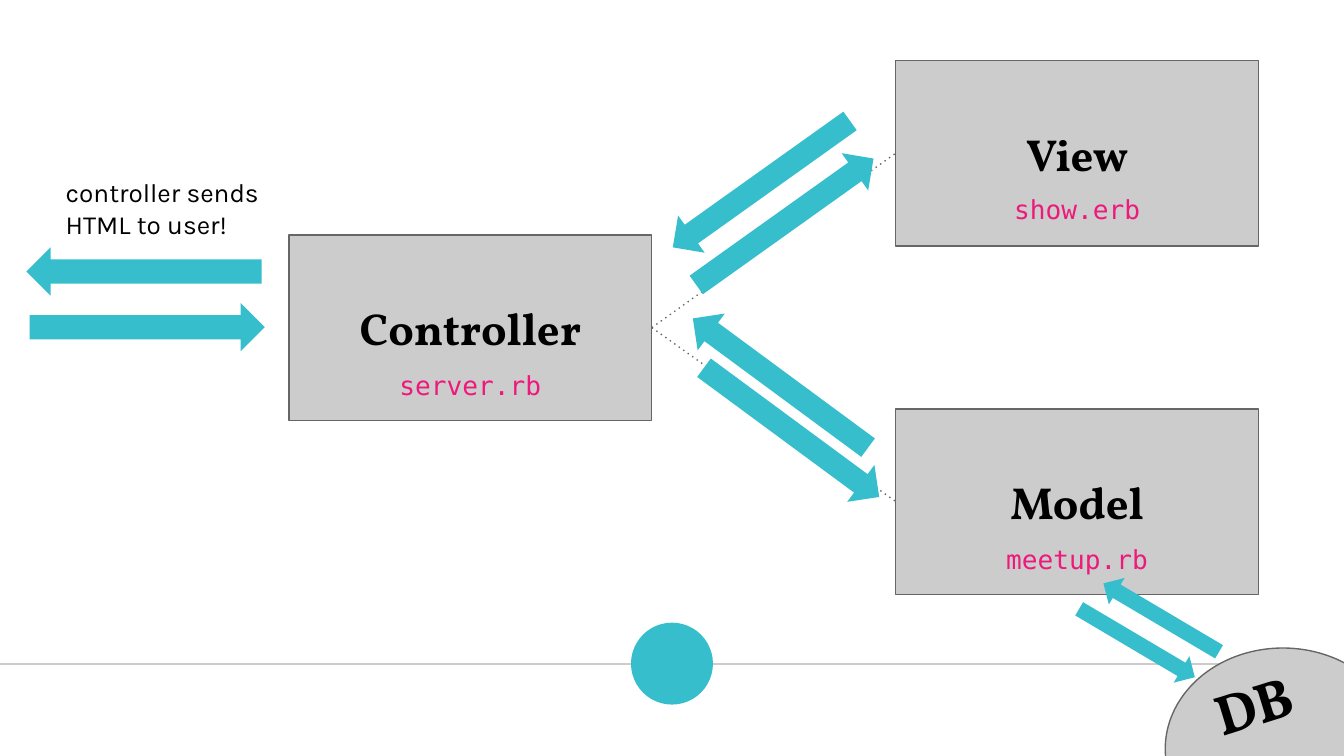
from pptx import Presentation
from pptx.dml.color import RGBColor
from pptx.enum.dml import MSO_LINE
from pptx.enum.shapes import MSO_CONNECTOR, MSO_SHAPE
from pptx.enum.text import MSO_ANCHOR, PP_ALIGN
from pptx.oxml.ns import qn
from pptx.util import Inches, Pt

TEAL = RGBColor(0x37, 0xBE, 0xCC)
GREY = RGBColor(0xCC, 0xCC, 0xCC)
DARK = RGBColor(0x66, 0x66, 0x66)
PINK = RGBColor(0xED, 0x19, 0x7B)
BLACK = RGBColor(0, 0, 0)

prs = Presentation()
prs.slide_width = Inches(10)
prs.slide_height = prs.slide_width * 9 // 16
s = prs.slides.add_slide(prs.slide_layouts[6])
COL = ROW = prs.slide_width / 100


def add_shape(kind, x, y, w, h, fill, outline=None, rotation=0):
    sp = s.shapes.add_shape(kind, int(x * COL), int(y * ROW), int(w * COL), int(h * ROW))
    sp.shadow.inherit = False
    sp.rotation = rotation
    sp.fill.solid()
    sp.fill.fore_color.rgb = fill
    if outline is None:
        sp.line.fill.background()
    else:
        sp.line.color.rgb = outline
        sp.line.width = Pt(0.75)
    return sp


def write(sp, text, font, size, color, bold=False, align=PP_ALIGN.CENTER, anchor=MSO_ANCHOR.TOP):
    tf = sp.text_frame
    tf.word_wrap = True
    tf.vertical_anchor = anchor
    tf.margin_left = tf.margin_right = int(COL)
    tf.margin_top = tf.margin_bottom = int(ROW)
    p = tf.paragraphs[0]
    p.text = text
    p.alignment = align
    p.font.name, p.font.size, p.font.bold = font, Pt(size), bold
    p.font.color.rgb = color


rule = s.shapes.add_connector(
    MSO_CONNECTOR.STRAIGHT, int(-0.1 * COL), int(49.4 * ROW), int(100.1 * COL), int(49.4 * ROW)
)
rule.line.color.rgb = GREY
links = [rule]
add_shape(MSO_SHAPE.OVAL, 46.95, 46.33, 6.1, 6.1, TEAL)

BOX_W, BOX_H = 27, 13.8
boxes = {}
for name, x, y in [("Model", 66.65, 30.42), ("View", 66.65, 4.5), ("Controller", 21.5, 17.48)]:
    boxes[name] = add_shape(MSO_SHAPE.RECTANGLE, x, y, BOX_W, BOX_H, GREY, DARK)
    write(boxes[name], name, "Vollkorn", 24, BLACK, True, anchor=MSO_ANCHOR.MIDDLE)

for name in ("Model", "View"):
    c = s.shapes.add_connector(MSO_CONNECTOR.STRAIGHT, 0, 0, 0, 0)
    c.begin_connect(boxes["Controller"], 3)
    c.end_connect(boxes[name], 1)
    c.line.color.rgb = DARK
    c.line.dash_style = MSO_LINE.ROUND_DOT
    c._element.spPr.find(qn("a:ln")).find(qn("a:prstDash")).set("val", "dot")
    links.append(c)
for c in links:
    c.line.width = Pt(0.75)
    spPr = c._element.spPr
    spPr.append(spPr.makeelement(qn("a:effectLst"), {}))

add_shape(MSO_SHAPE.OVAL, 86.7, 48.22, 17.5, 15, GREY, DARK)

for w, h, angle, there, back in [
    (17.5, 3.6, 0, (2.2, 22.55), (1.97, 18.4)),
    (16.2, 3.4, 324.5, (50.3, 14.8), (48.55, 12)),
    (16.2, 3.4, 36.4, (50.8, 30.47), (49.97, 26.8)),
    (10, 2.3, 30.6, (79.6, 46.7), (81.4, 44.8)),
]:
    for (x, y), turn in ((there, 0), (back, 180)):
        add_shape(MSO_SHAPE.RIGHT_ARROW, x, y, w, h, TEAL, rotation=(angle + turn) % 360)

MONO = ("DejaVu Sans Mono", 14, PINK, False, PP_ALIGN.CENTER)
for text, style, angle, x, y, w, h in [
    ("DB", ("Vollkorn", 30, BLACK, True, PP_ALIGN.LEFT), 343, 89.3, 47.7, 15.6, 7.7),
    ("controller sends HTML to user!", ("Karla", 14, BLACK, False, PP_ALIGN.LEFT), 0, 3.9, 12.15, 17.5, 3.9),
    ("server.rb", MONO, 0, 24.95, 26.45, 20.1, 3.2),
    ("meetup.rb", MONO, 0, 70.1, 39.4, 20.1, 3.2),
    ("show.erb", MONO, 0, 70.1, 13.4, 20.1, 3.2),
]:
    tb = s.shapes.add_textbox(int(x * COL), int(y * ROW), int(w * COL), int(h * ROW))
    tb.rotation = angle
    write(tb, text, *style)

prs.save("out.pptx")
